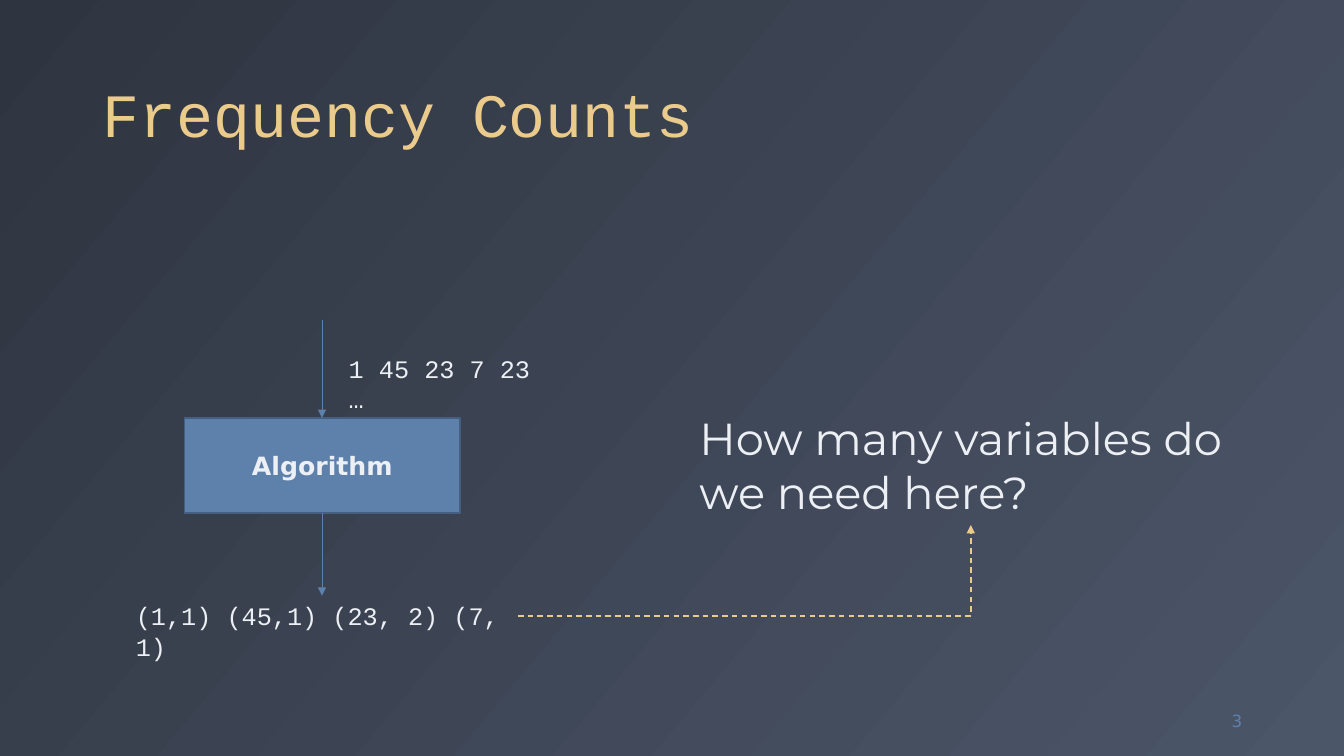
"""Build the Frequency Counts slide: a stream, an algorithm and its output."""
from lxml import etree
from pptx import Presentation
from pptx.dml import color
from pptx.enum import dml, shapes, text
from pptx.oxml import ns
from pptx.util import Pt

CODE, SANS, DISPLAY = "Courier New", "DejaVu Sans", "Montserrat"
BLUE, YELLOW, SNOW = "5E81AC", "EBCB8B", "ECEFF3"


def rgb(value):
    return color.RGBColor.from_string(value)


def write(shape, words, size=18, font=CODE, ink=SNOW, bold=False,
          align=text.PP_ALIGN.LEFT, anchor=text.MSO_ANCHOR.TOP, spacing=None):
    frame = shape.text_frame
    frame.word_wrap = True
    frame.auto_size = text.MSO_AUTO_SIZE.NONE
    frame.vertical_anchor = anchor
    frame.text = words
    paragraph = frame.paragraphs[0]
    paragraph.alignment = align
    paragraph.line_spacing = spacing
    for run in paragraph.runs:
        run.font.name, run.font.size, run.font.bold = font, Pt(size), bold
        run.font.color.rgb = rgb(ink)


deck = Presentation()
deck.slide_width, deck.slide_height = Pt(960), Pt(540)
slide = deck.slides.add_slide(deck.slide_layouts[5])

backdrop = slide.background.fill
backdrop.gradient()
backdrop.gradient_angle = 320
for stop, shade, position in zip(backdrop.gradient_stops, ("2E3440", "4C5669"), (0, 1)):
    stop.color.rgb, stop.position = rgb(shade), position

heading = slide.shapes.title
heading.left, heading.top, heading.width, heading.height = Pt(66), Pt(13), Pt(828), Pt(98)
write(heading, "Frequency Counts", size=44, ink=YELLOW,
      anchor=text.MSO_ANCHOR.BOTTOM, spacing=0.9)

algorithm = slide.shapes.add_shape(
    shapes.MSO_SHAPE.RECTANGLE, Pt(132), Pt(298.5), Pt(196.5), Pt(68))
algorithm.shadow.inherit = False
algorithm.fill.solid()
algorithm.fill.fore_color.rgb = rgb(BLUE)
algorithm.line.color.rgb = rgb("465F7F")
algorithm.line.width = Pt(1)
write(algorithm, "Algorithm", font=SANS, bold=True,
      align=text.PP_ALIGN.CENTER, anchor=text.MSO_ANCHOR.MIDDLE)

labels = [
    ("1 45 23 7 23 …", (242, 248.5, 155, 29), {}),
    ("(1,1) (45,1) (23, 2) (7, 1)", (90, 425.5, 280, 29), {}),
    ("How many variables do \vwe need here?", (492.5, 290, 402, 85),
     dict(size=32, font=DISPLAY)),
    ("3", (834.5, 500.5, 60, 29),
     dict(size=12, font=SANS, ink=BLUE, align=text.PP_ALIGN.RIGHT,
          anchor=text.MSO_ANCHOR.MIDDLE)),
]
for words, box, style in labels:
    write(slide.shapes.add_textbox(*map(Pt, box)), words, **style)

arrows = [
    ((230, 228.5, 230, 298.5), BLUE, 0.5, False),
    ((230, 366.5, 230, 425.5), BLUE, 0.5, False),
    ((370, 440, 693.5, 375), YELLOW, 1, True),
]
for ends, ink, weight, bent in arrows:
    kind = shapes.MSO_CONNECTOR.ELBOW if bent else shapes.MSO_CONNECTOR.STRAIGHT
    arrow = slide.shapes.add_connector(kind, *map(Pt, ends))
    arrow.line.color.rgb = rgb(ink)
    arrow.line.width = Pt(weight)
    properties = arrow._element.spPr
    if bent:
        arrow.line.dash_style = dml.MSO_LINE.DASH
        properties.find(ns.qn("a:prstGeom")).set("prst", "bentConnector2")
    etree.SubElement(properties.find(ns.qn("a:ln")), ns.qn("a:tailEnd"), type="triangle")
    etree.SubElement(properties, ns.qn("a:effectLst"))

deck.save("out.pptx")
